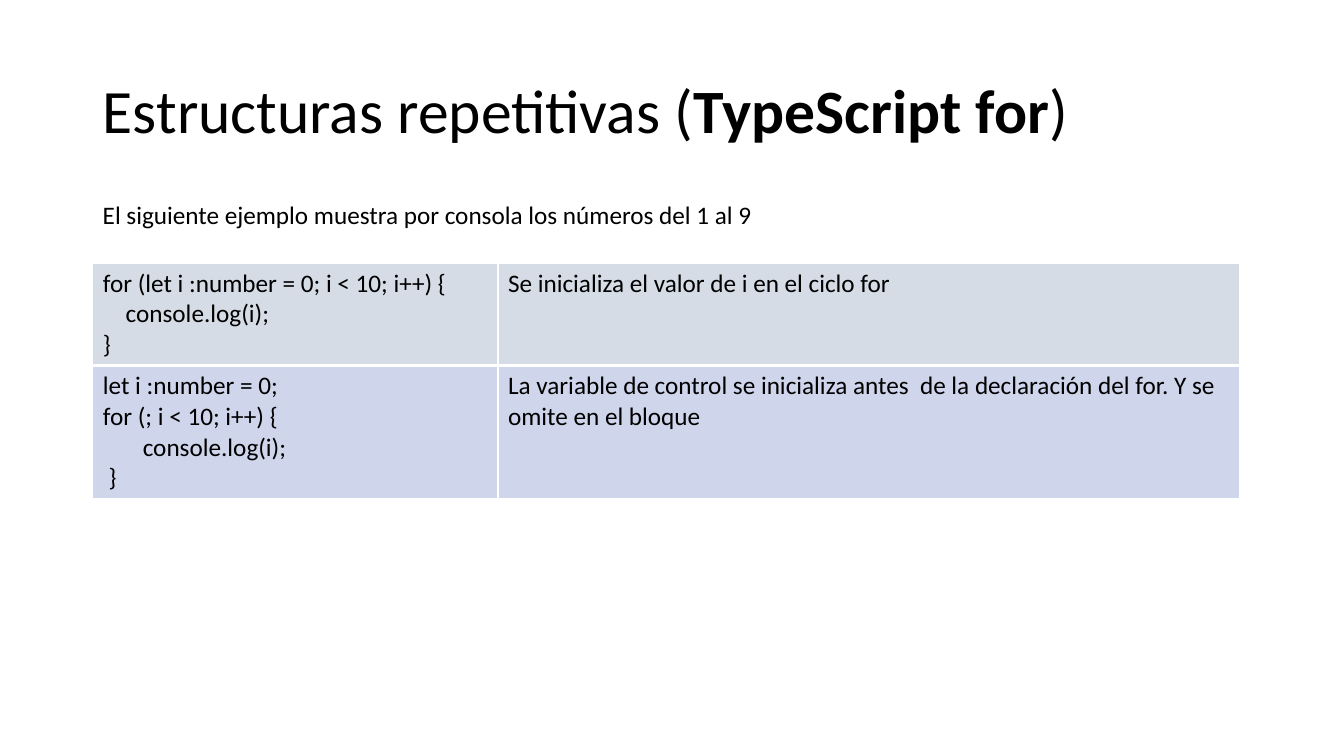
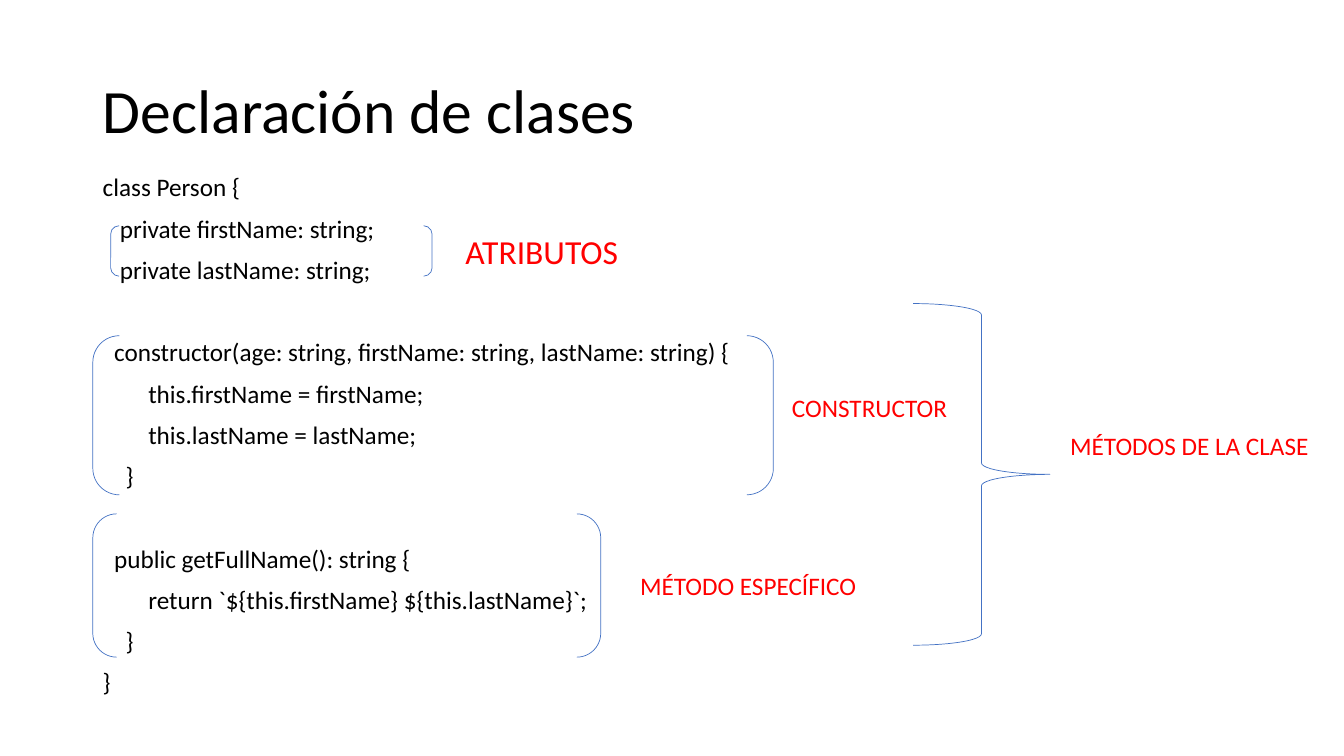
from dataclasses import dataclass

from lxml import etree
from pptx import Presentation
from pptx import util as u
from pptx.dml.color import RGBColor
from pptx.enum import shapes, text
from pptx.oxml.ns import qn


@dataclass(frozen=True)
class Theme:
    """Colours, font and type sizes shared by all slides."""
    font: str = "Calibri"
    ink: str = "000000"
    label: str = "FF0000"
    outline: str = "4472C4"
    rule: str = "FFFFFF"
    row_fills: tuple = ("D6DCE5", "CFD5EA")
    title_size: int = 44
    label_size: int = 24
    text_size: int = 18
    line_spacing: float = 0.9
    paragraph_gap: float = 10
    blank_line: float = 29.5
    space_width: float = 4.07


@dataclass(frozen=True)
class Box:
    """A rectangle in centimetres."""
    left: float
    top: float
    width: float
    height: float

    def inner(self, left, top, width, height):
        """Return a box placed relative to this one."""
        return Box(self.left + left, self.top + top, width, height)

    def lengths(self):
        """Return left, top, width and height as slide lengths."""
        return [u.Cm(value) for value in (self.left, self.top, self.width, self.height)]


THEME = Theme()
TITLE_BOX = Box(2.34, 1.02, 29.21, 3.68)
TITLE_ONLY = 5

LOOP_ROWS = [
    (["for (let i :number = 0; i < 10; i++) {",
      "    console.log(i);",
      "}"],
     ["Se inicializa el valor de i en el ciclo for"]),
    (["let i :number = 0;",
      "for (; i < 10; i++) {",
      "       console.log(i);",
      " }"],
     ["La variable de control se inicializa antes  de la declaración del for. "
      "Y se omite en el bloque"]),
]

CLASS_CODE = [
    "class Person {",
    "   private firstName: string;",
    "   private lastName: string;",
    "",
    "  constructor(age: string, firstName: string, lastName: string) {",
    "        this.firstName = firstName;",
    "        this.lastName = lastName;",
    "    }",
    "",
    "  public getFullName(): string {",
    "        return `${this.firstName} ${this.lastName}`;",
    "    }",
    "}",
]


def style_font(paragraph, size, color=THEME.ink):
    """Set typeface, size and colour of a paragraph."""
    font = paragraph.font
    font.name, font.size = THEME.font, u.Pt(size)
    font.color.rgb = RGBColor.from_string(color)


def write_lines(frame, lines, spacing=1.0, gap=0):
    """Write lines; leading spaces become indents, empty lines become space before."""
    paragraph, before = frame.paragraphs[0], gap
    for number, line in enumerate(lines):
        if not line:
            before += THEME.blank_line
            continue
        if number:
            paragraph = frame.add_paragraph()
        code = line.lstrip()
        paragraph.text = code
        paragraph.line_spacing, paragraph.space_before = spacing, u.Pt(before)
        indent = u.Pt((len(line) - len(code)) * THEME.space_width)
        properties = paragraph._p.get_or_add_pPr()
        properties.set("marL", str(indent))
        properties.set("indent", "0")
        style_font(paragraph, THEME.text_size)
        before = gap


def add_titled_slide(presentation, runs):
    """Add a slide whose title consists of (text, bold) runs."""
    slide = presentation.slides.add_slide(presentation.slide_layouts[TITLE_ONLY])
    title = slide.shapes.title
    title.left, title.top, title.width, title.height = TITLE_BOX.lengths()
    title.text_frame.vertical_anchor = text.MSO_ANCHOR.MIDDLE
    paragraph = title.text_frame.paragraphs[0]
    paragraph.alignment = text.PP_ALIGN.LEFT
    paragraph.line_spacing = THEME.line_spacing
    style_font(paragraph, THEME.title_size)
    for wording, bold in runs:
        run = paragraph.add_run()
        run.text, run.font.bold = wording, bold
    return slide


def add_label(slide, box, wording, size=THEME.text_size, color=THEME.label):
    """Add a single-line text that does not wrap."""
    frame = slide.shapes.add_textbox(*box.lengths()).text_frame
    frame.word_wrap = False
    frame.auto_size = text.MSO_AUTO_SIZE.SHAPE_TO_FIT_TEXT
    frame.text = wording
    style_font(frame.paragraphs[0], size, color)


def add_bracket(slide, kind, box):
    """Add an unfilled bracket or brace with a thin outline."""
    shape = slide.shapes.add_shape(kind, *box.lengths())
    shape.shadow.inherit = False
    shape.fill.background()
    shape.line.color.rgb = RGBColor.from_string(THEME.outline)
    shape.line.width = u.Pt(0.5)


def set_borders(cell, bottom_width):
    """Draw the cell borders, with a bottom border of its own width."""
    properties = cell._tc.get_or_add_tcPr()
    widths = {"a:lnL": 1, "a:lnR": 1, "a:lnT": 1, "a:lnB": bottom_width}
    for position, (tag, width) in enumerate(widths.items()):
        line = etree.Element(qn(tag), w=str(u.Pt(width)))
        fill = etree.SubElement(line, qn("a:solidFill"))
        etree.SubElement(fill, qn("a:srgbClr"), val=THEME.rule)
        properties.insert(position, line)


def add_loop_table(slide, box):
    """Add the table that pairs each loop with its explanation."""
    table = slide.shapes.add_table(len(LOOP_ROWS), 2, *box.lengths()).table
    table.first_row = table.horz_banding = False
    code_width = 10.21
    for column, width in zip(table.columns, (code_width, box.width - code_width)):
        column.width = u.Cm(width)
    for row, height in zip(table.rows, (2.54, box.height - 2.54)):
        row.height = u.Cm(height)
    for row, texts, color, bottom in zip(table.rows, LOOP_ROWS, THEME.row_fills, (3, 1)):
        for cell, lines in zip(row.cells, texts):
            cell.fill.solid()
            cell.fill.fore_color.rgb = RGBColor.from_string(color)
            set_borders(cell, bottom)
            write_lines(cell.text_frame, lines)


def add_class_diagram(slide, box):
    """Add the class code with its bracketed parts and their labels."""
    code = box.inner(0, 0, TITLE_BOX.width, box.height)
    frame = slide.shapes.add_textbox(*code.lengths()).text_frame
    frame.word_wrap = True
    write_lines(frame, CLASS_CODE, THEME.line_spacing, THEME.paragraph_gap)

    pair, brace = shapes.MSO_SHAPE.LEFT_BRACKET, shapes.MSO_SHAPE.RIGHT_BRACE
    pair = shapes.MSO_SHAPE.DOUBLE_BRACKET
    parts = [
        (pair, (0.45, 1.4, 8.1, 1.27),
         "ATRIBUTOS", (9.14, 1.4, 4.39, 1.27), THEME.label_size),
        (pair, (0, 4.17, 17.15, 4.01),
         "CONSTRUCTOR", (17.37, 5.46, 4.45, 1.02), THEME.text_size),
        (pair, (0, 8.66, 12.8, 3.61),
         "MÉTODO ESPECÍFICO", (13.54, 9.96, 5.99, 1.02), THEME.text_size),
        (brace, (20.67, 3.36, 3.45, 8.61),
         "MÉTODOS DE LA CLASE", (24.38, 6.43, 6.58, 1.02), THEME.text_size),
    ]
    for kind, bracket, wording, label, size in parts:
        add_bracket(slide, kind, box.inner(*bracket))
        add_label(slide, box.inner(*label), wording, size)


def build_loop_slide(presentation):
    """Build the slide about the for loop."""
    slide = add_titled_slide(presentation, [
        ("Estructuras repetitivas (", False), ("TypeScript for", True), (")", False)])
    add_loop_table(slide, Box(TITLE_BOX.left, 6.63, 28.91, 5.85))
    add_label(slide, Box(TITLE_BOX.left, 4.9, 17.07, 1.02),
              "El siguiente ejemplo muestra por consola los números del 1 al 9",
              color=THEME.ink)


def build_class_slide(presentation):
    """Build the slide about class declarations."""
    slide = add_titled_slide(presentation, [("Declaración de clases", False)])
    add_class_diagram(slide, Box(TITLE_BOX.left, 4.29, 30.96, 12.85))


def main():
    """Build and save the presentation."""
    presentation = Presentation()
    presentation.slide_width, presentation.slide_height = u.Cm(33.87), u.Cm(19.05)
    build_loop_slide(presentation)
    build_class_slide(presentation)
    presentation.save("out.pptx")


main()
